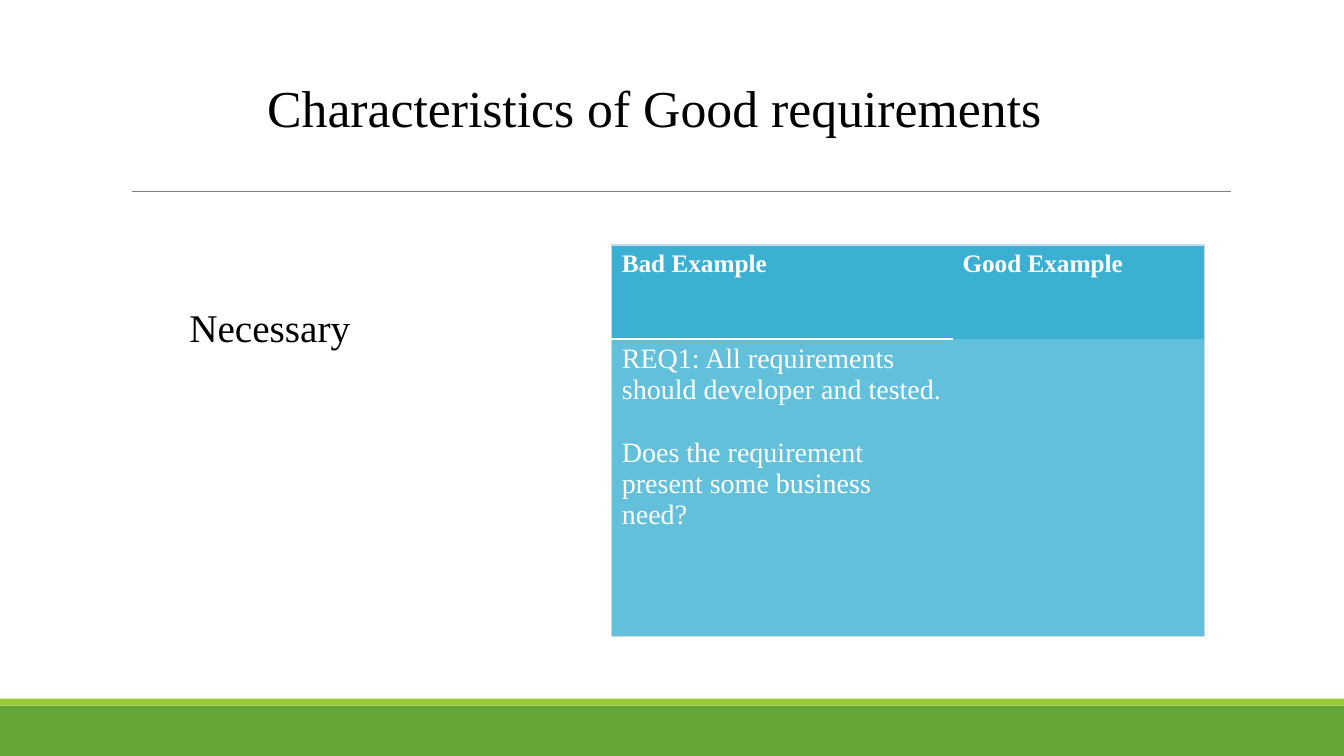
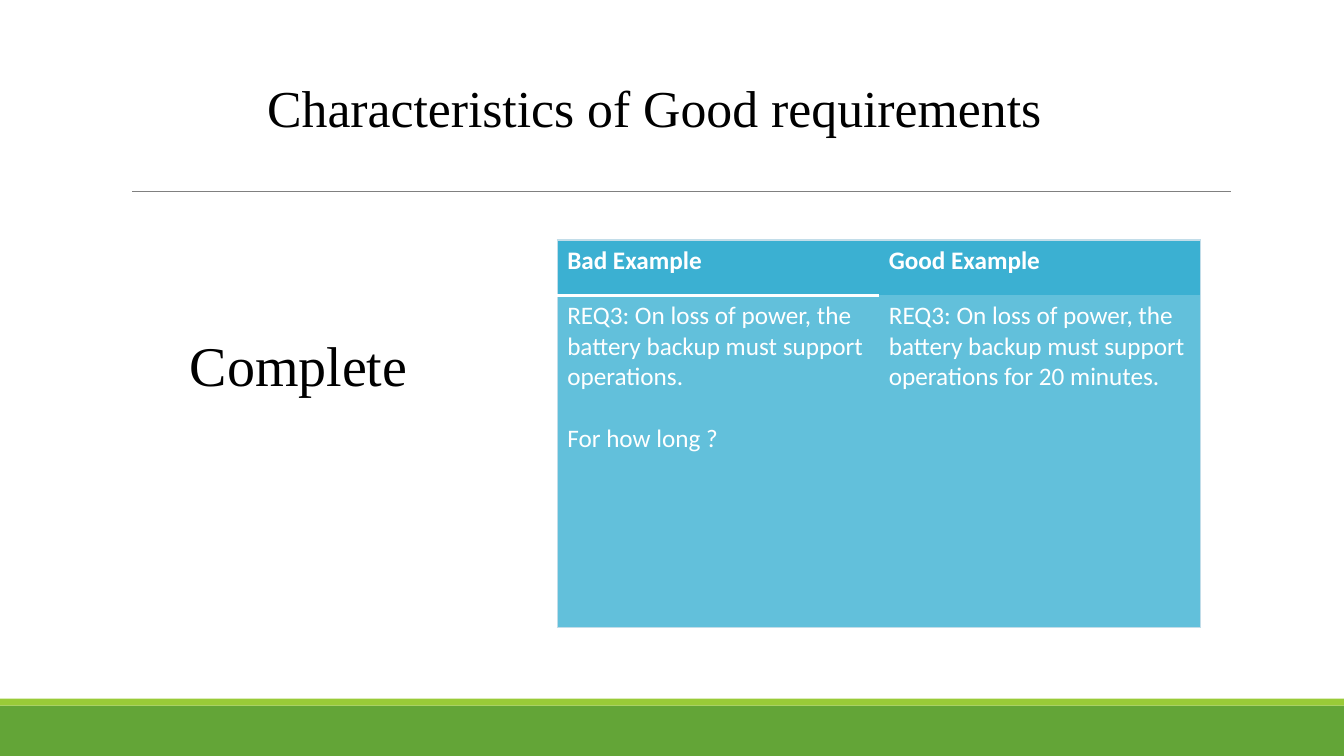
"""Build two slides on the characteristics of good requirements."""
from lxml import etree
from pptx import Presentation
from pptx.dml.color import RGBColor
from pptx.enum import shapes, text
from pptx.oxml import ns
from pptx.util import Pt

COLORS = {"green": "63A537", "lime": "99CB38", "rule": "808080", "ink": "000000",
          "white": "FFFFFF", "edge": "C2DDE9", "header": "3BB0D2", "cell": "62C0DB"}
SERIF, SANS = "Times New Roman", "Calibri"


def rgb(name):
    return RGBColor.from_string(COLORS[name])


def write(tf, lines, font=SERIF, size=18, color="ink", bold=False, align="LEFT", gap=0):
    """Fill a text frame with one formatted paragraph per line."""
    for i, line in enumerate(lines):
        p = tf.add_paragraph() if i else tf.paragraphs[0]
        p.alignment = getattr(text.PP_ALIGN, align)
        p.space_before = Pt(gap if i else 0)
        r = p.add_run()
        r.text = line
        r.font.name, r.font.size, r.font.bold = font, Pt(size), bold
        r.font.color.rgb = rgb(color)


class Deck:
    """Hold the shared style and the current slide."""

    def __init__(self):
        self.prs = Presentation()
        self.prs.slide_width, self.prs.slide_height = Pt(960), Pt(540)

    def slide(self, title):
        self.s = self.prs.slides.add_slide(self.prs.slide_layouts[1])
        self.band(504, 36, "green")
        self.band(499, 5, "lime")
        self.rule(94.5, 879, 136.8)
        self.placeholder(0, title, (183.6, 40.3, 573, 72), size=37)

    def band(self, top, height, color):
        sp = self.s.shapes.add_shape(shapes.MSO_SHAPE.RECTANGLE, 0, Pt(top),
                                     self.prs.slide_width, Pt(height))
        sp.shadow.inherit = False
        sp.fill.solid()
        sp.fill.fore_color.rgb = rgb(color)
        sp.line.fill.background()

    def rule(self, left, right, y):
        line = self.s.shapes.add_connector(shapes.MSO_CONNECTOR.STRAIGHT,
                                           Pt(left), Pt(y), Pt(right), Pt(y))
        line.line.color.rgb, line.line.width = rgb("rule"), Pt(0.5)
        etree.SubElement(line._element.spPr, ns.qn("a:effectLst"))

    def placeholder(self, idx, line, box, anchor="MIDDLE", **fmt):
        sp = self.s.placeholders[idx]
        sp.left, sp.top, sp.width, sp.height = map(Pt, box)
        tf = sp.text_frame
        tf.word_wrap, tf.auto_size = True, text.MSO_AUTO_SIZE.NONE
        tf.vertical_anchor = getattr(text.MSO_ANCHOR, anchor)
        write(tf, [line], **fmt)
        pPr = tf.paragraphs[0]._p.get_or_add_pPr()
        pPr.set("marL", "0")
        pPr.set("indent", "0")
        etree.SubElement(pPr, ns.qn("a:buNone"))

    def border(self, cell, sides):
        """Draw the given sides of a cell and hide the others."""
        tcPr = cell._tc.get_or_add_tcPr()
        for i, side in enumerate("LRTB"):
            color, width = sides.get(side, (None, 0))
            ln = etree.Element(ns.qn("a:ln" + side), w=str(Pt(width)))
            if color:
                fill = etree.SubElement(ln, ns.qn("a:solidFill"))
                etree.SubElement(fill, ns.qn("a:srgbClr"), val=COLORS[color])
            else:
                etree.SubElement(ln, ns.qn("a:noFill"))
            tcPr.insert(i, ln)

    def examples(self, left, top, cols, rows, bad, good, font, size, gap):
        """Add a table that compares bad and good examples."""
        table = self.s.shapes.add_table(2, 2, Pt(left), Pt(top),
                                        Pt(sum(cols)), Pt(sum(rows))).table
        table.horz_banding = False
        edge, divider = ("edge", 1), ("white", 2)
        content = [[["Bad Example"], ["Good Example"]], [bad, good]]
        for i, height in enumerate(rows):
            table.rows[i].height = Pt(height)
            for j, width in enumerate(cols):
                table.columns[j].width = Pt(width)
                cell = table.cell(i, j)
                cell.fill.solid()
                cell.fill.fore_color.rgb = rgb("cell" if i else "header")
                write(cell.text_frame, content[i][j], font=font, color="white",
                      size=size if i else 18, bold=not i, gap=gap)
                sides = {"R" if j else "L": edge, "B" if i else "T": edge}
                if j == 0:
                    sides["T" if i else "B"] = divider
                self.border(cell, sides)


deck = Deck()
TITLE = "Characteristics of Good requirements"

deck.slide(TITLE)
deck.placeholder(1, "Necessary", (128, 213, 151, 41), anchor="TOP", size=28)
deck.examples(437, 175, (243.4, 180), (67, 212.4),
              ["REQ1: All requirements should developer and tested.",
               "Does the requirement present some business need?"],
              [], SERIF, 20, gap=22.5)

deck.slide(TITLE)
deck.placeholder(1, "Complete", (111, 224, 204.5, 72), size=40, align="CENTER")
deck.examples(398, 171.4, (229.7, 229.7), (39.6, 237),
              ["REQ3: On loss of power, the battery backup must support operations.",
               "For how long ?"],
              ["REQ3: On loss of power, the battery backup must support operations "
               "for 20 minutes."], SANS, 18, gap=22)

deck.prs.save("out.pptx")
